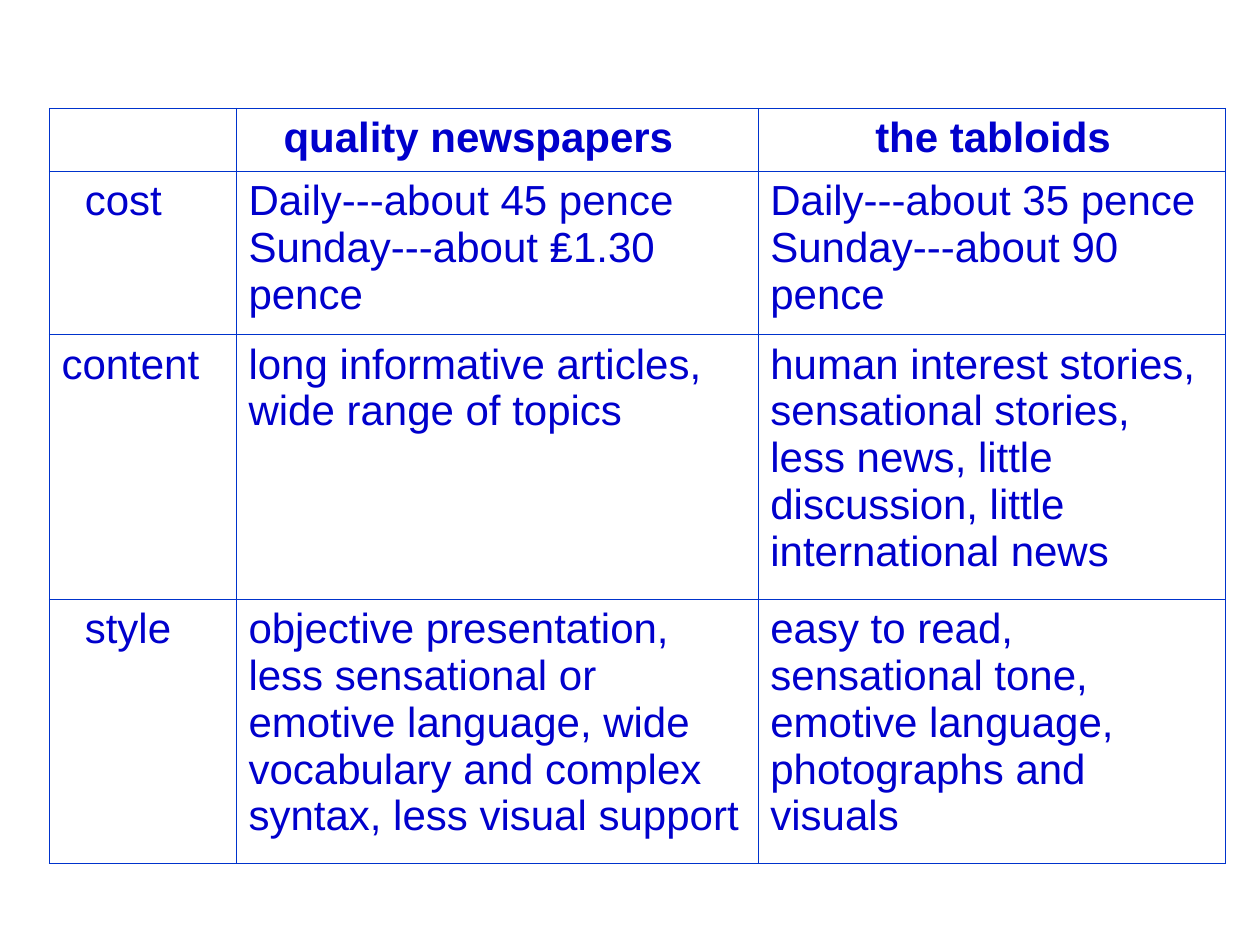
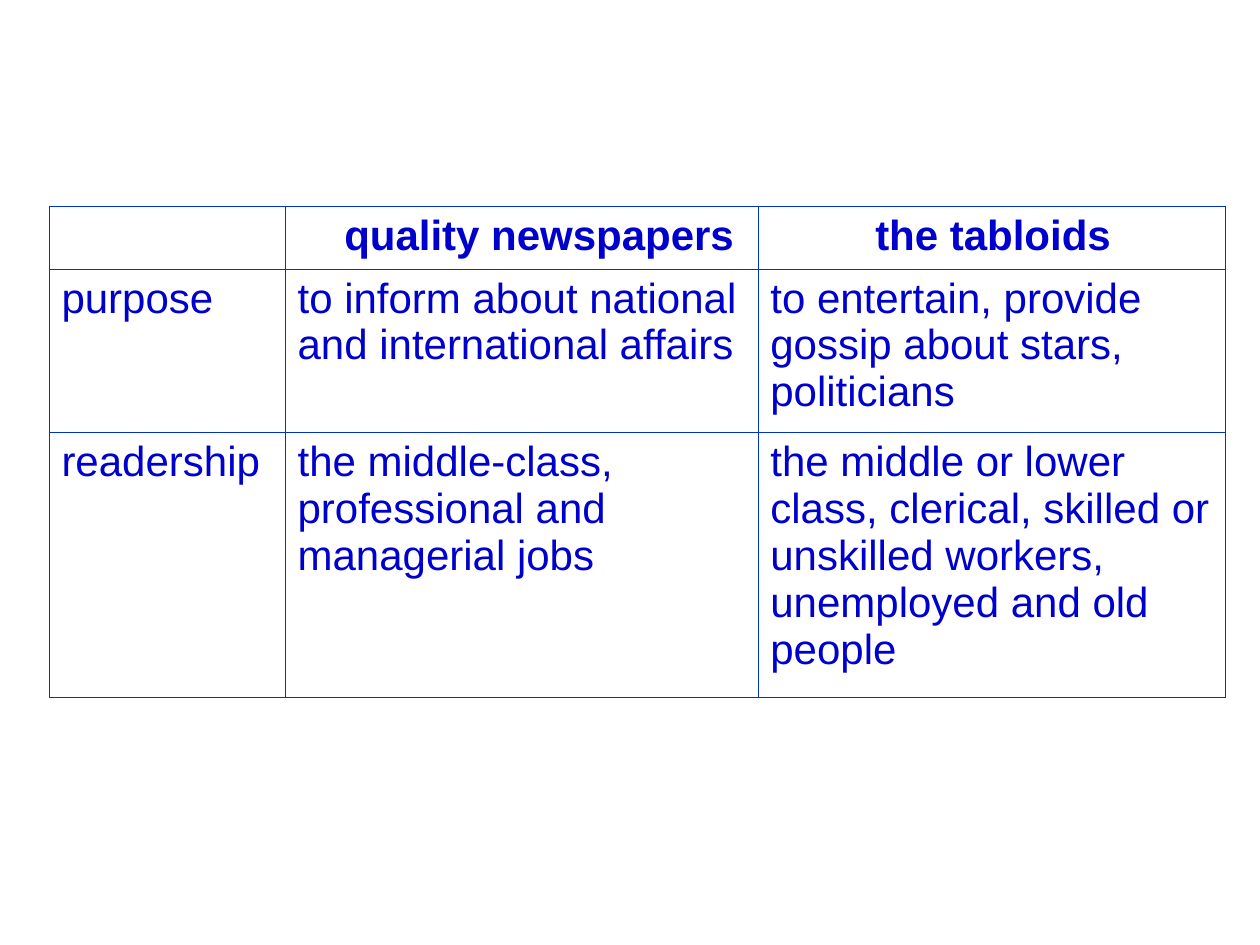
from dataclasses import dataclass

from lxml import etree
from pptx import Presentation
from pptx.dml.color import RGBColor
from pptx.oxml.ns import qn
from pptx.util import Cm, Pt

# Shared look
INK = RGBColor(0x00, 0x00, 0xCC)
RULE = RGBColor(0x00, 0x33, 0xCC)
FONT = "Arial"
SIZE = Pt(24)
THIN = Pt(0.45)
LEFT = 0.99
PAD = 0.25
STEP = 0.235  # width of one indent step
LAST = 9.43  # width of the tabloid column
HEAD, LOW, TALL = 1.27, 3.3, 5.33  # row heights


@dataclass(frozen=True)
class Entry:
    text: str = ""
    steps: int = 0
    bold: bool = False


@dataclass(frozen=True)
class Grid:
    top: float
    cols: tuple[float, ...]
    rows: tuple[float, ...]
    cells: tuple[tuple[Entry, ...], ...]


def header(steps: int) -> tuple[Entry, ...]:
    return (Entry(), Entry("quality newspapers", steps, True),
            Entry("the tabloids", 9, True))


GRIDS = (
    Grid(2.18, (3.77, 10.52, LAST), (HEAD, LOW, TALL, TALL), (
        header(3),
        (Entry("cost", 2),
         Entry("Daily---about 45 pence\nSunday---about ₤1.30 pence"),
         Entry("Daily---about 35 pence\nSunday---about 90 pence")),
        (Entry("content"),
         Entry("long informative articles, wide range of topics"),
         Entry("human interest stories, sensational stories, less news, "
               "little discussion, little international news")),
        (Entry("style", 2),
         Entry("objective presentation, less sensational or emotive language, "
               "wide vocabulary and complex syntax, less visual support"),
         Entry("easy to read, sensational tone, emotive language, "
               "photographs and visuals")),
    )),
    Grid(4.15, (4.76, 9.53, LAST), (HEAD, LOW, TALL), (
        header(4),
        (Entry("purpose"),
         Entry("to inform about national and international affairs"),
         Entry("to entertain, provide gossip about stars, politicians")),
        (Entry("readership"),
         Entry("the middle-class, professional and managerial jobs"),
         Entry("the middle or lower class, clerical, skilled or unskilled "
               "workers, unemployed and old people")),
    )),
)


def edge(cell) -> None:
    """Rule all four sides of a cell."""
    props = cell._tc.get_or_add_tcPr()
    for side in ("lnL", "lnR", "lnT", "lnB"):
        line = etree.SubElement(props, qn(f"a:{side}"), w=str(int(THIN)))
        fill = etree.SubElement(line, qn("a:solidFill"))
        etree.SubElement(fill, qn("a:srgbClr"), val=str(RULE))


def write(cell, entry: Entry) -> None:
    """Fill one cell with its text."""
    edge(cell)
    cell.fill.background()
    cell.margin_left = Cm(PAD + STEP * entry.steps)
    cell.margin_right = Cm(PAD)
    cell.text = entry.text
    for para in cell.text_frame.paragraphs:
        para.font.name = FONT
        para.font.size = SIZE
        para.font.bold = entry.bold
        para.font.color.rgb = INK


def draw(slide, grid: Grid) -> None:
    """Place a comparison table."""
    frame = slide.shapes.add_table(
        len(grid.rows), len(grid.cols), Cm(LEFT), Cm(grid.top),
        Cm(sum(grid.cols)), Cm(sum(grid.rows)))
    table = frame.table
    table.first_row = table.horz_banding = False
    for col, width in zip(table.columns, grid.cols):
        col.width = Cm(width)
    for row, height, entries in zip(table.rows, grid.rows, grid.cells):
        row.height = Cm(height)
        for cell, entry in zip(row.cells, entries):
            write(cell, entry)


def main() -> None:
    deck = Presentation()
    deck.slide_width, deck.slide_height = Cm(25.4), Cm(19.05)
    blank = deck.slide_layouts[6]
    for grid in GRIDS:
        draw(deck.slides.add_slide(blank), grid)
    deck.save("out.pptx")


if __name__ == "__main__":
    main()
